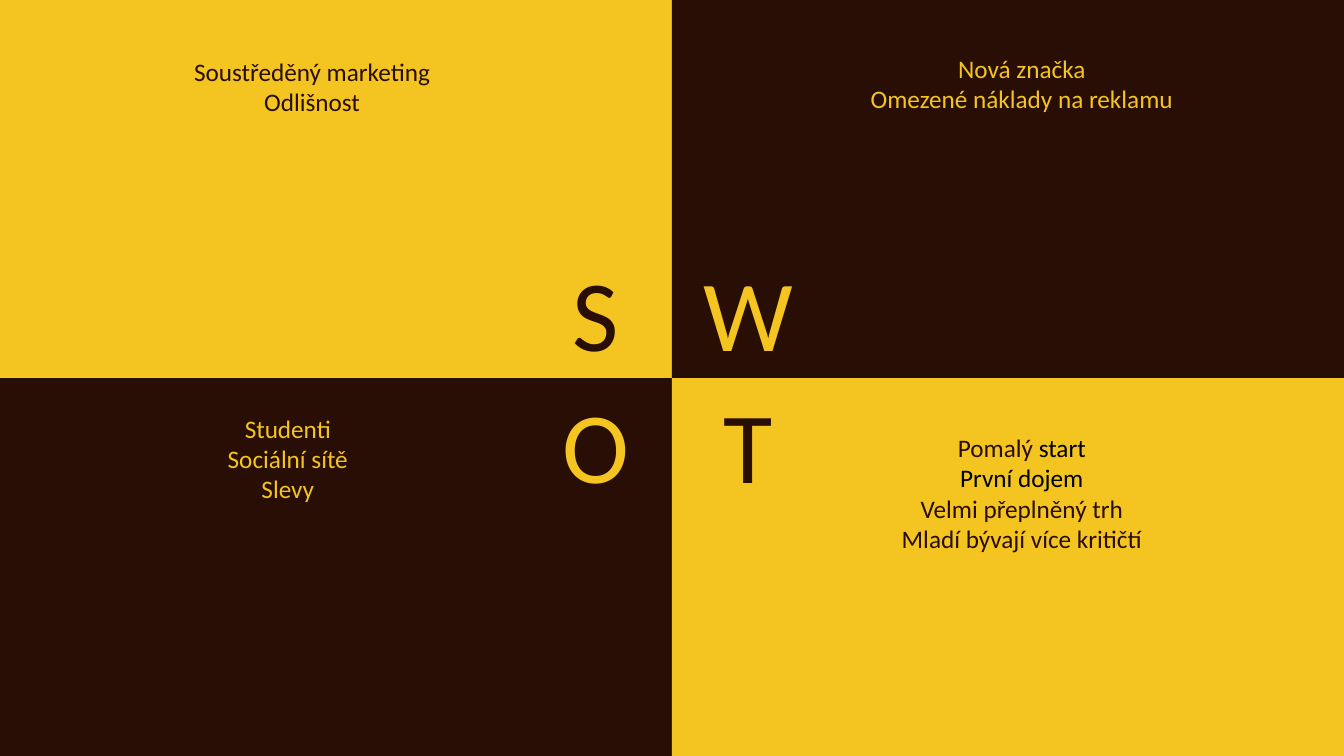
from pptx import Presentation
from pptx.dml.color import RGBColor
from pptx.enum.shapes import MSO_SHAPE
from pptx.enum.text import MSO_AUTO_SIZE, PP_ALIGN
from pptx.util import Inches, Pt

GOLD = RGBColor(0xF4, 0xC4, 0x20)
BROWN = RGBColor(0x29, 0x0E, 0x05)
BLACK = RGBColor(0, 0, 0)

WIDE, HIGH = 13.33, 7.5
HALF_W, HALF_H = WIDE / 2, HIGH / 2
MARK_W, MARK_H = 1.51, 1.31


class Board:
    def __init__(self, slide, face):
        self.slide = slide
        self.face = face

    def panel(self, left, top, color):
        box = self.slide.shapes.add_shape(
            MSO_SHAPE.RECTANGLE, Inches(left), Inches(top),
            Inches(HALF_W), Inches(HALF_H))
        box.shadow.inherit = False
        box.fill.solid()
        box.fill.fore_color.rgb = color
        box.line.fill.background()

    def text(self, place, lines, size):
        """Write centred lines, each a list of (words, color) runs."""
        box = self.slide.shapes.add_textbox(*map(Inches, place))
        frame = box.text_frame
        frame.word_wrap = True
        frame.auto_size = MSO_AUTO_SIZE.SHAPE_TO_FIT_TEXT
        for i, line in enumerate(lines):
            para = frame.add_paragraph() if i else frame.paragraphs[0]
            para.alignment = PP_ALIGN.CENTER
            for words, color in line:
                run = para.add_run()
                run.text = words
                style = {"name": self.face, "size": Pt(size)}
                for key, value in style.items():
                    setattr(run.font, key, value)
                run.font.color.rgb = color


def plain(color, *lines):
    """Give every line one run in the same color."""
    return [[(line, color)] for line in lines]


def main():
    deck = Presentation()
    deck.slide_width, deck.slide_height = Inches(WIDE), Inches(HIGH)
    board = Board(deck.slides.add_slide(deck.slide_layouts[6]), "Calibri")

    # letter, column, row, panel color, letter color, note place, note lines
    parts = [
        ("S", 0, 0, GOLD, BROWN, (0.57, 0.51, 5.05, 1.01),
         plain(BROWN, "Soustředěný marketing", "Odlišnost")),
        ("W", 1, 0, BROWN, GOLD, (7.85, 0.48, 4.57, 0.71),
         plain(GOLD, "Nová značka", "Omezené náklady na reklamu")),
        ("O", 0, 1, BROWN, GOLD, (0.57, 4.05, 4.57, 1.01),
         plain(GOLD, "Studenti", "Sociální sítě", "Slevy")),
        ("T", 1, 1, GOLD, BROWN, (7.85, 4.24, 4.57, 1.31),
         [[("Pomalý", BROWN), (" start", BLACK)],
          *plain(BLACK, "První dojem"),
          *plain(BROWN, "Velmi přeplněný trh",
                 "Mladí bývají více kritičtí")]),
    ]
    for _, col, row, fill, *_ in parts:
        board.panel(col * HALF_W, row * HALF_H, fill)
    for mark, col, row, _, ink, place, lines in parts:
        left = HALF_W - (1 - col) * MARK_W
        top = HALF_H - (1 - row) * MARK_H
        board.text((left, top, MARK_W, MARK_H), plain(ink, mark), 72)
        board.text(place, lines, 18)

    deck.save("out.pptx")


if __name__ == "__main__":
    main()
